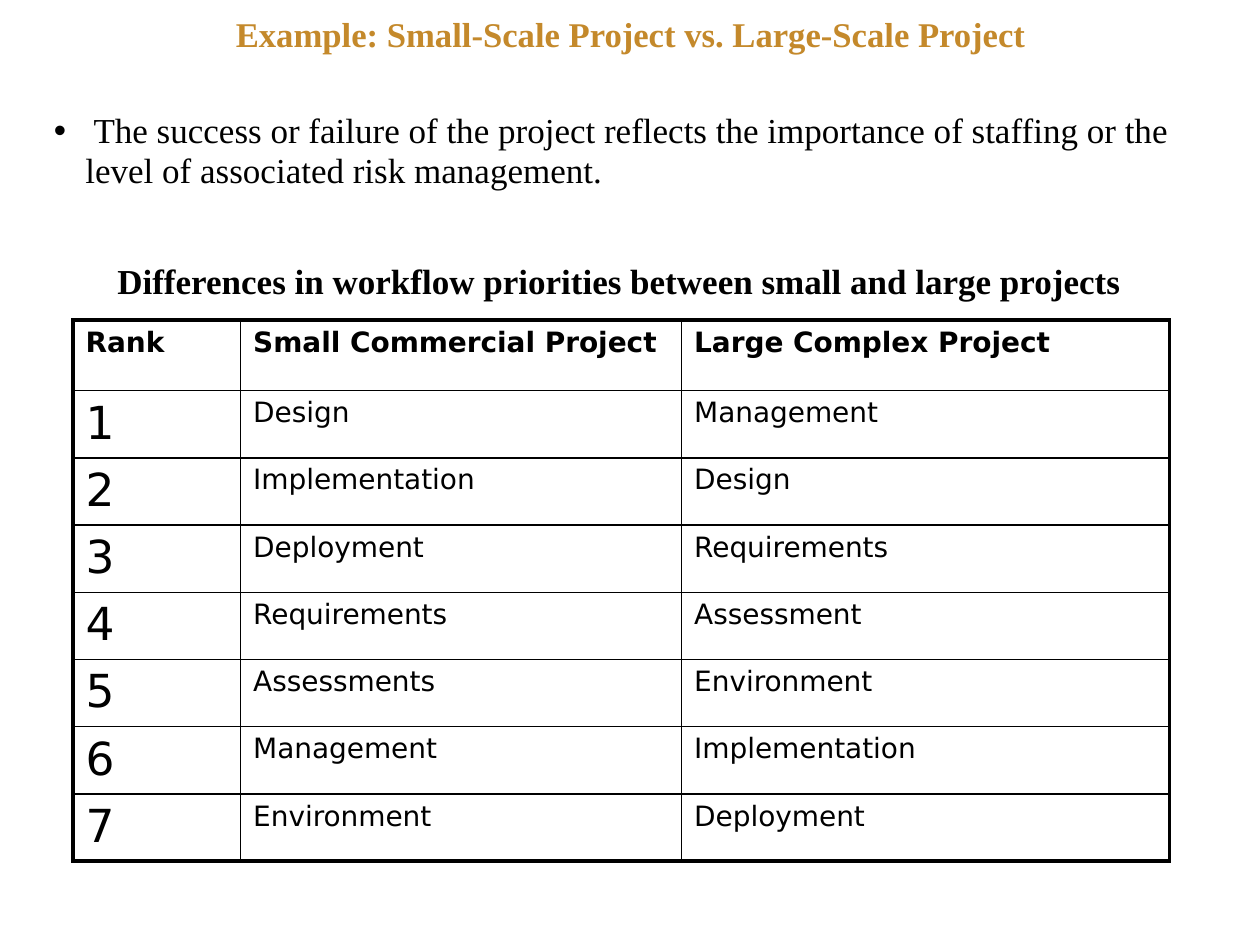
from dataclasses import dataclass

from lxml import etree
from pptx import Presentation
from pptx import util as u
from pptx.dml import color
from pptx.enum import text
from pptx.oxml import ns


@dataclass(frozen=True)
class Theme:
    title_color: str = "C4892B"
    ink: str = "000000"
    serif: str = "Times New Roman"
    sans: str = "DejaVu Sans"
    title_size: float = 19.8
    body_size: float = 20
    cell_size: float = 16
    rank_size: float = 26
    outer_line: float = 2.25
    inner_line: float = 1


THEME = Theme()
TITLE = "Example: Small-Scale Project vs. Large-Scale Project"
POINT = (" The success or failure of the project reflects the importance of "
         "staffing or the level of associated risk management.")
CAPTION = "Differences in workflow priorities between small and large projects"
HEADER = ("Rank", "Small Commercial Project", "Large Complex Project")
PRIORITIES = (
    ("Design", "Management"),
    ("Implementation", "Design"),
    ("Deployment", "Requirements"),
    ("Requirements", "Assessment"),
    ("Assessments", "Environment"),
    ("Management", "Implementation"),
    ("Environment", "Deployment"),
)
COLUMN_WIDTHS = (1.33, 3.5, 3.87)
HEADER_HEIGHT = 0.56
ROW_HEIGHT = 0.52


def format_paragraph(paragraph, font_name, size, ink=THEME.ink, bold=False):
    for run in paragraph.runs:
        run.font.name = font_name
        run.font.size = u.Pt(size)
        run.font.bold = bold
        run.font.color.rgb = color.RGBColor.from_string(ink)


def add_text_frame(slide, box, anchor):
    text_frame = slide.shapes.add_textbox(*map(u.Inches, box)).text_frame
    text_frame.word_wrap = True
    text_frame.vertical_anchor = anchor
    return text_frame


def add_bullet(paragraph, indent):
    properties = paragraph._p.get_or_add_pPr()
    properties.set("marL", str(u.Inches(indent)))
    properties.set("indent", str(-u.Inches(indent)))
    etree.SubElement(properties, ns.qn("a:buFont")).set("typeface", "Arial")
    etree.SubElement(properties, ns.qn("a:buChar")).set("char", "•")


def add_title(slide, box):
    text_frame = add_text_frame(slide, box, text.MSO_ANCHOR.MIDDLE)
    text_frame.text = TITLE
    paragraph = text_frame.paragraphs[0]
    paragraph.alignment = text.PP_ALIGN.CENTER
    paragraph.line_spacing = 0.9
    format_paragraph(paragraph, THEME.serif, THEME.title_size, THEME.title_color, True)


def add_body(slide, box):
    text_frame = add_text_frame(slide, box, text.MSO_ANCHOR.TOP)
    point = text_frame.paragraphs[0]
    caption = text_frame.add_paragraph()
    point.text, caption.text = POINT, CAPTION
    for paragraph in (point, caption):
        paragraph.line_spacing = 0.94
        format_paragraph(paragraph, THEME.serif, THEME.body_size, bold=paragraph is caption)
    add_bullet(point, 0.25)
    caption.alignment = text.PP_ALIGN.CENTER
    caption.space_before = u.Pt(41)


def set_borders(cell, outer_sides):
    properties = cell._tc.get_or_add_tcPr()
    for position, side in enumerate("LRTB"):
        width = THEME.outer_line if side in outer_sides else THEME.inner_line
        line = etree.Element(ns.qn(f"a:ln{side}"), w=str(u.Pt(width)))
        fill = etree.SubElement(line, ns.qn("a:solidFill"))
        etree.SubElement(fill, ns.qn("a:srgbClr")).set("val", THEME.ink)
        properties.insert(position, line)


def add_priority_table(slide, left, top):
    rows = [HEADER] + [(str(rank), *pair) for rank, pair in enumerate(PRIORITIES, 1)]
    heights = [HEADER_HEIGHT] + [ROW_HEIGHT] * len(PRIORITIES)
    box = (left, top, sum(COLUMN_WIDTHS), sum(heights))
    table = slide.shapes.add_table(
        len(rows), len(HEADER), *map(u.Inches, box)).table
    table.first_row = table.horz_banding = False
    for column, width in zip(table.columns, COLUMN_WIDTHS):
        column.width = u.Inches(width)
    for row, height in zip(table.rows, heights):
        row.height = u.Inches(height)
    last_row, last_column = len(rows) - 1, len(HEADER) - 1
    for row_index, values in enumerate(rows):
        for column_index, value in enumerate(values):
            cell = table.cell(row_index, column_index)
            cell.text = value
            cell.fill.background()
            is_header = row_index == 0
            is_rank = column_index == 0 and not is_header
            size = THEME.rank_size if is_rank else THEME.cell_size
            format_paragraph(cell.text_frame.paragraphs[0], THEME.sans, size, bold=is_header)
            edges = {"L": column_index == 0, "R": column_index == last_column,
                     "T": is_header, "B": row_index == last_row}
            set_borders(cell, [side for side, is_outer in edges.items() if is_outer])


def main():
    presentation = Presentation()
    presentation.slide_width = u.Inches(10)
    presentation.slide_height = u.Inches(7.5)
    slide = presentation.slides.add_slide(presentation.slide_layouts[6])
    add_title(slide, (0.63, 0.08, 8.75, 0.42))
    add_body(slide, (0.33, 0.84, 9.17, 1.6))
    add_priority_table(slide, 0.58, 2.54)
    presentation.save("out.pptx")


if __name__ == "__main__":
    main()
